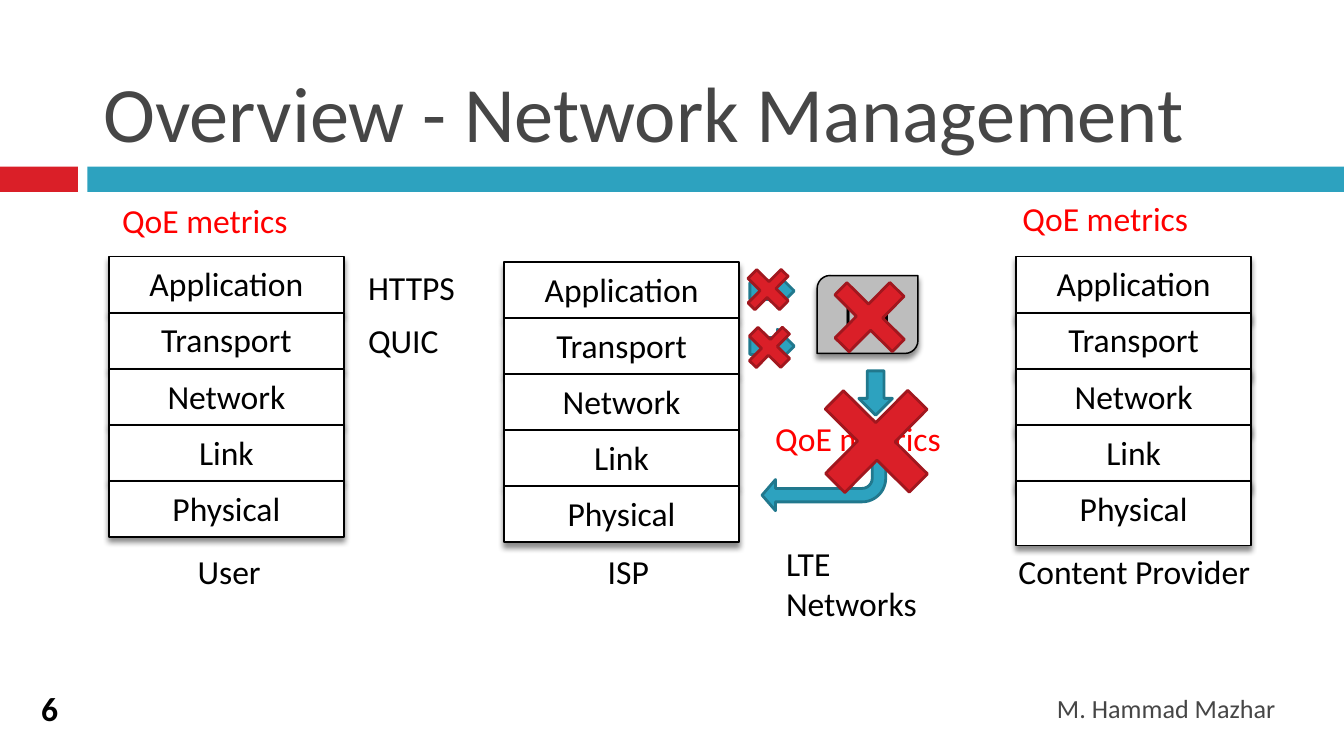
from dataclasses import dataclass
from typing import NamedTuple, Optional

from lxml.etree import SubElement
from pptx import Presentation
from pptx.dml.color import RGBColor
from pptx.enum.shapes import MSO_SHAPE
from pptx.enum.text import MSO_ANCHOR, PP_ALIGN
from pptx.oxml.ns import qn
from pptx.util import Inches, Length, Pt


@dataclass(frozen=True)
class Theme:
    font: str = "Calibri"
    red: str = "DA1F28"
    red_edge: str = "A1171E"
    teal: str = "2DA2BF"
    teal_edge: str = "21788D"
    metric: str = "FF0000"
    heading: str = "464646"
    ink: str = "000000"
    paper: str = "FFFFFF"
    grey: str = "BDBDBD"
    title_size: float = 42
    body_size: float = 18
    footer_size: float = 14
    thin: float = 0.79
    thick: float = 1.5


class Box(NamedTuple):
    """Left, top, width and height in grid cells."""
    col: float
    row: float
    cols: float
    rows: float


class Stack(NamedTuple):
    col: float
    row: float
    layer_rows: float
    owner: str
    owner_box: Box


class Label(NamedTuple):
    text: str
    box: Box
    color: str


THEME = Theme()
SLIDE_WIDTH, SLIDE_HEIGHT = Inches(10), Inches(5.625)
CELL = SLIDE_WIDTH / 100  # square grid, 100 columns across the slide
LAYERS = ("Application", "Transport", "Network", "Link", "Physical")
LAYER_COLS, LAYER_PITCH = 17.5, 4.17

STACKS = (
    Stack(8.1, 19.1, 4.17, "User", Box(8.3, 40.5, 17.5, 4)),
    Stack(37.5, 19.5, 4.17, "ISP", Box(38, 40.5, 17.5, 4)),
    Stack(75.6, 19.1, 4.8, "Content Provider", Box(74, 40.5, 20.8, 4)),
)
ISP_METRICS = Label("QoE metrics", Box(56.7, 30.6, 18.3, 4), THEME.metric)
LABELS = (
    Label("HTTPS", Box(26.4, 19.4, 9.2, 4), THEME.ink),
    Label("QUIC", Box(26.4, 23.3, 9.2, 4), THEME.ink),
    Label("QoE metrics", Box(8.1, 14.4, 18.3, 4), THEME.metric),
    Label("QoE metrics", Box(75.1, 14.2, 18.3, 4), THEME.metric),
    Label("LTE Networks", Box(57.5, 39.9, 12.5, 7.1), THEME.ink),
)
DPI_ARROWS = (Box(55.8, 20.4, 3.3, 2.5), Box(55.8, 24.5, 3.3, 2.5))
CROSSES = (
    Box(55.5, 19.8, 3.3, 3.5),
    Box(55.6, 24.1, 3.3, 3.5),
    Box(61.7, 20.7, 6, 5.8),
    Box(60.8, 28.5, 8.8, 8.7),
)

deck = Presentation()
deck.slide_width, deck.slide_height = SLIDE_WIDTH, SLIDE_HEIGHT
slide = deck.slides.add_slide(deck.slide_layouts[6])


def place(box: Box) -> list[Length]:
    return [Length(round(cells * CELL)) for cells in box]


def write(shape, text: str, *, size: float = THEME.body_size, color: str = THEME.ink,
          bold: bool = False, align=PP_ALIGN.LEFT, anchor=MSO_ANCHOR.TOP) -> None:
    frame = shape.text_frame
    frame.word_wrap = True
    frame.vertical_anchor = anchor
    paragraph = frame.paragraphs[0]
    paragraph.alignment = align
    run = paragraph.add_run()
    run.text = text
    run.font.name = THEME.font
    run.font.size = Pt(size)
    run.font.bold = bold
    run.font.color.rgb = RGBColor.from_string(color)


def add_text(text: str, box: Box, **text_format) -> None:
    write(slide.shapes.add_textbox(*place(box)), text, **text_format)


def add_shape(kind: MSO_SHAPE, box: Box, fill: str, edge: Optional[str] = None, *,
              weight: float = THEME.thick, rotation: float = 0,
              adjustments: tuple[float, ...] = ()):
    shape = slide.shapes.add_shape(kind, *place(box))
    shape.shadow.inherit = False
    shape.rotation = rotation
    for index, value in enumerate(adjustments):
        shape.adjustments[index] = value
    shape.fill.solid()
    shape.fill.fore_color.rgb = RGBColor.from_string(fill)
    if edge:
        shape.line.color.rgb = RGBColor.from_string(edge)
        shape.line.width = Pt(weight)
    else:
        shape.line.fill.background()
    return shape


def add_drop_shadow(shape) -> None:
    effects = shape._element.spPr.find(qn("a:effectLst"))
    shadow = SubElement(effects, qn("a:outerShdw"), blurRad=str(Pt(3)),
                        dist=str(Pt(2.4)), dir="5400000", rotWithShape="0")
    color = SubElement(shadow, qn("a:srgbClr"), val=THEME.ink)
    SubElement(color, qn("a:alpha"), val="45000")


def add_raised(kind: MSO_SHAPE, box: Box, fill: str, text: str, anchor) -> None:
    """Draw an outlined box with a drop shadow and centred text."""
    shape = add_shape(kind, box, fill, THEME.ink, weight=THEME.thin)
    add_drop_shadow(shape)
    write(shape, text, align=PP_ALIGN.CENTER, anchor=anchor)


def add_arrow(kind: MSO_SHAPE, box: Box, **geometry) -> None:
    add_shape(kind, box, THEME.teal, THEME.teal_edge, **geometry)


def add_stack(stack: Stack) -> None:
    for index, layer in enumerate(LAYERS):
        box = Box(stack.col, stack.row + index * LAYER_PITCH, LAYER_COLS, stack.layer_rows)
        add_raised(MSO_SHAPE.RECTANGLE, box, THEME.paper, layer, MSO_ANCHOR.TOP)
    add_text(stack.owner, stack.owner_box, align=PP_ALIGN.CENTER)


def add_label(label: Label) -> None:
    add_text(label.text, label.box, color=label.color)


def build() -> None:
    add_shape(MSO_SHAPE.RECTANGLE, Box(0, 12.4, 5.8, 1.87), THEME.red)
    add_shape(MSO_SHAPE.RECTANGLE, Box(6.5, 12.4, 93.5, 1.87), THEME.teal)
    add_text("Overview - Network Management", Box(6.7, 1.3, 89.2, 11),
             size=THEME.title_size, color=THEME.heading, anchor=MSO_ANCHOR.BOTTOM)
    add_text("M. Hammad Mazhar", Box(6.7, 51.2, 89.2, 3), size=THEME.footer_size,
             color=THEME.heading, align=PP_ALIGN.RIGHT, anchor=MSO_ANCHOR.MIDDLE)
    add_text("6", Box(0.8, 51.7, 5.8, 2), bold=True,
             align=PP_ALIGN.CENTER, anchor=MSO_ANCHOR.MIDDLE)

    add_label(ISP_METRICS)
    add_arrow(MSO_SHAPE.RIGHT_ARROW, Box(63.5, 28, 3.3, 2.5), rotation=90)
    for stack in STACKS:
        add_stack(stack)
    for box in DPI_ARROWS:
        add_arrow(MSO_SHAPE.RIGHT_ARROW, box)
    add_raised(MSO_SHAPE.ROUND_2_DIAG_RECTANGLE, Box(60.8, 20.5, 7.5, 5.8),
               THEME.grey, "DPI", MSO_ANCHOR.MIDDLE)
    add_arrow(MSO_SHAPE.BENT_ARROW, Box(56.7, 34, 9.2, 4), rotation=180,
              adjustments=(0.25, 0.29, 0.25, 0.44))
    for box in CROSSES:
        add_shape(MSO_SHAPE.CROSS, box, THEME.red, THEME.red_edge,
                  rotation=44.7, adjustments=(0.39,))
    for label in LABELS:
        add_label(label)
    deck.save("out.pptx")


if __name__ == "__main__":
    build()
